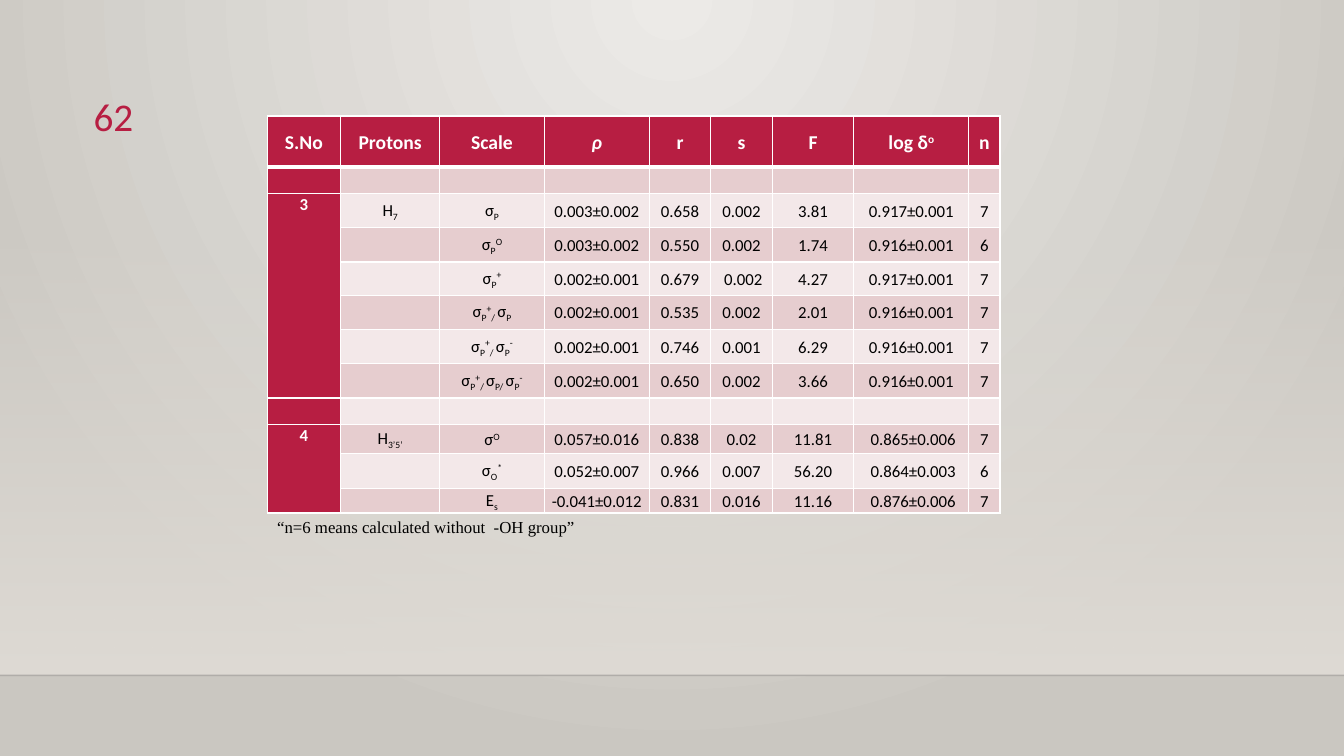
import pptx
import pptx.dml.color
import pptx.enum.shapes
import pptx.enum.text
import pptx.oxml
import pptx.oxml.ns
import pptx.util
from pptx.util import Inches

RGBColor = pptx.dml.color.RGBColor
CRIMSON = RGBColor(0xB7, 0x1E, 0x42)
ROSE = RGBColor(0xE6, 0xCD, 0xCF)
PALE_ROSE = RGBColor(0xF3, 0xE8, 0xE9)
WHITE = RGBColor(0xFF, 0xFF, 0xFF)
BLACK = RGBColor(0, 0, 0)
SKY_LIGHT = RGBColor(0xEC, 0xEA, 0xE7)
SKY_DARK = RGBColor(0xCA, 0xC7, 0xC1)
HAZE = RGBColor(0xDF, 0xDB, 0xD5)
HORIZON = RGBColor(0, 0, 1)

PP_ALIGN = pptx.enum.text.PP_ALIGN
ANCHOR = pptx.enum.text.MSO_ANCHOR
BASELINES = {"_": "-25000", "^": "30000"}
qn = pptx.oxml.ns.qn


def element(xml):
    """Parse an XML fragment whose root tag has the a: prefix."""
    head, rest = xml.split(" ", 1)
    return pptx.oxml.parse_xml(f"{head} {pptx.oxml.ns.nsdecls('a')} {rest}")


def add_runs(paragraph, marked_text, size, color, bold=False, face="Calibri"):
    """Add one run per part between bars; a leading _ lowers it, ^ raises it."""
    for part in marked_text.split("|"):
        run = paragraph.add_run()
        run.text = part.lstrip("_^")
        run.font.name = face
        run.font.size = pptx.util.Pt(size)
        run.font.bold = bold
        run.font.color.rgb = color
        if part[0] in BASELINES:
            run.font._element.set("baseline", BASELINES[part[0]])
    return run


deck = pptx.Presentation()
deck.slide_width, deck.slide_height = Inches(13.33), Inches(7.5)
slide = deck.slides.add_slide(deck.slide_layouts[6])

# Backdrop: radial glow, haze and horizon
glow = slide.background.fill
glow.gradient()
for stop, color in zip(glow.gradient_stops, (SKY_LIGHT, SKY_DARK)):
    stop.color.rgb = color
linear = slide.background._cSld.find(".//" + qn("a:lin"))
linear.getparent().replace(linear, element(
    '<a:path path="circle"><a:fillToRect l="43000" t="0" r="43000" b="100000"/></a:path>'))

haze = slide.shapes.add_shape(pptx.enum.shapes.MSO_SHAPE.RECTANGLE,
                              Inches(0), Inches(2.21), Inches(13.33), Inches(4.49))
haze.shadow.inherit = False
haze.line.fill.background()
haze.fill.gradient()
haze.fill.gradient_angle = 270
for stop in haze.fill.gradient_stops:
    stop.color.rgb = HAZE
clear_stop = haze._element.spPr.find(".//" + qn("a:srgbClr"))
clear_stop.append(element('<a:alpha val="0"/>'))

horizon = slide.shapes.add_connector(pptx.enum.shapes.MSO_CONNECTOR.STRAIGHT,
                                     Inches(0), Inches(6.7), Inches(13.33), Inches(6.7))
horizon.line.width = pptx.util.Pt(1)
horizon.line.color.rgb = HORIZON
horizon._element.spPr.find(".//" + qn("a:srgbClr")).append(element('<a:alpha val="20000"/>'))
horizon._element.spPr.append(element("<a:effectLst />"))

# Correlation table
BLANK = [""] * 9
correlations = [
    ["S.No", "Protons", "Scale", "ρ", "r", "s", "F", "log δ|^o", "n"],
    BLANK,
    ["3", "H|_7", "σ|_P", "0.003±0.002", "0.658", "0.002", "3.81", "0.917±0.001", "7"],
    ["", "", "σ|_P|^O", "0.003±0.002", "0.550", "0.002", "1.74", "0.916±0.001", "6"],
    ["", "", "σ|_P|^+", "0.002±0.001", "0.679", " 0.002", "4.27", "0.917±0.001", "7"],
    ["", "", "σ|_P|^+|_/ |σ|_P", "0.002±0.001", "0.535", "0.002", "2.01", "0.916±0.001", "7"],
    ["", "", "σ|_P|^+|_/ |σ|_P|^-", "0.002±0.001", "0.746", "0.001", "6.29", "0.916±0.001", "7"],
    ["", "", "σ|_P|^+|_/ |σ|_P/ |σ|_P|^-", "0.002±0.001", "0.650", "0.002", "3.66",
     "0.916±0.001", "7"],
    BLANK,
    ["4", "H|_3’5’", "σ|^O", "0.057±0.016", "0.838", "0.02", "11.81", " 0.865±0.006", "7"],
    ["", "", "σ|_O|^*", "0.052±0.007", "0.966", "0.007", "56.20", " 0.864±0.003", "6"],
    ["", "", "E|_s", "-0.041±0.012", "0.831", "0.016", "11.16", " 0.876±0.006", "7"],
]
column_widths = [0.73, 0.98, 1.04, 1.04, 0.61, 0.61, 0.81, 1.14, 0.31]
row_heights = [0.51, 0.26, 0.34, 0.34, 0.33, 0.34, 0.34, 0.34, 0.26, 0.29, 0.35, 0.2]

table = slide.shapes.add_table(len(row_heights), len(column_widths), Inches(2.65), Inches(1.15),
                               Inches(7.27), Inches(3.91)).table
table.first_row = table.horz_banding = False
for column, width in zip(table.columns, column_widths):
    column.width = Inches(width)
for row, height in zip(table.rows, row_heights):
    row.height = Inches(height)

for r, values in enumerate(correlations):
    for c, value in enumerate(values):
        cell = table.cell(r, c)
        heading = r == 0 or c == 0
        cell.margin_left = cell.margin_right = Inches(0.05)
        cell.margin_top = cell.margin_bottom = 0
        cell.vertical_anchor = ANCHOR.TOP if c == 0 and r > 0 else ANCHOR.MIDDLE
        for side in "LRTB":
            thick = (r, side) in ((0, "B"), (1, "T"))
            cell._tc.get_or_add_tcPr().append(element(
                f'<a:ln{side} w="{38100 if thick else 12700}"><a:solidFill>'
                f'<a:srgbClr val="{WHITE}"/></a:solidFill></a:ln{side}>'))
        cell.fill.solid()
        cell.fill.fore_color.rgb = CRIMSON if heading else ROSE if r % 2 else PALE_ROSE

        paragraph = cell.text_frame.paragraphs[0]
        paragraph.alignment = PP_ALIGN.CENTER
        paragraph.line_spacing = 1.07
        paragraph.space_after = pptx.util.Pt(8)
        if value:
            last_run = add_runs(paragraph, value, 12 if r else 14,
                                WHITE if heading else BLACK, bold=heading)
            last_run.font.italic = value == "ρ"
        else:
            paragraph._p.append(element('<a:endParaRPr sz="1200"/>'))

for first, last in ((2, 7), (9, 11)):
    table.cell(first, 0).merge(table.cell(last, 0))

# Footnote and slide number
footnote = slide.shapes.add_textbox(Inches(2.65), Inches(5.05), Inches(3.19), Inches(0.32))
footnote.text_frame.word_wrap = False
note = footnote.text_frame.paragraphs[0]
note.line_spacing = 1.15
note.space_after = pptx.util.Pt(10)
add_runs(note, "“n=6 means calculated without  -OH group”", 12, BLACK, face="Times New Roman")

page_number = slide.shapes.add_textbox(Inches(0.53), Inches(0.87), Inches(0.89), Inches(0.55))
page_number.text_frame.word_wrap = True
number = page_number.text_frame.paragraphs[0]
number.alignment = PP_ALIGN.RIGHT
add_runs(number, "62", 28, CRIMSON)

deck.save("out.pptx")
